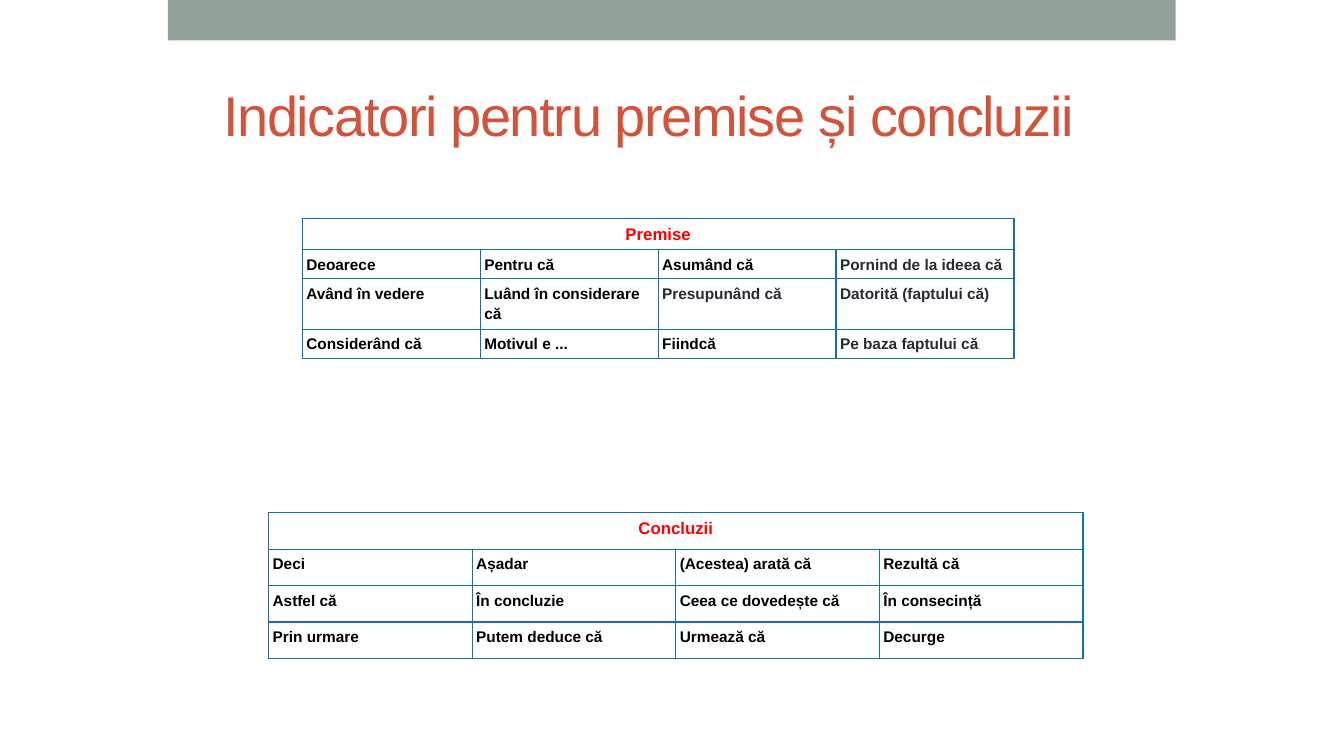
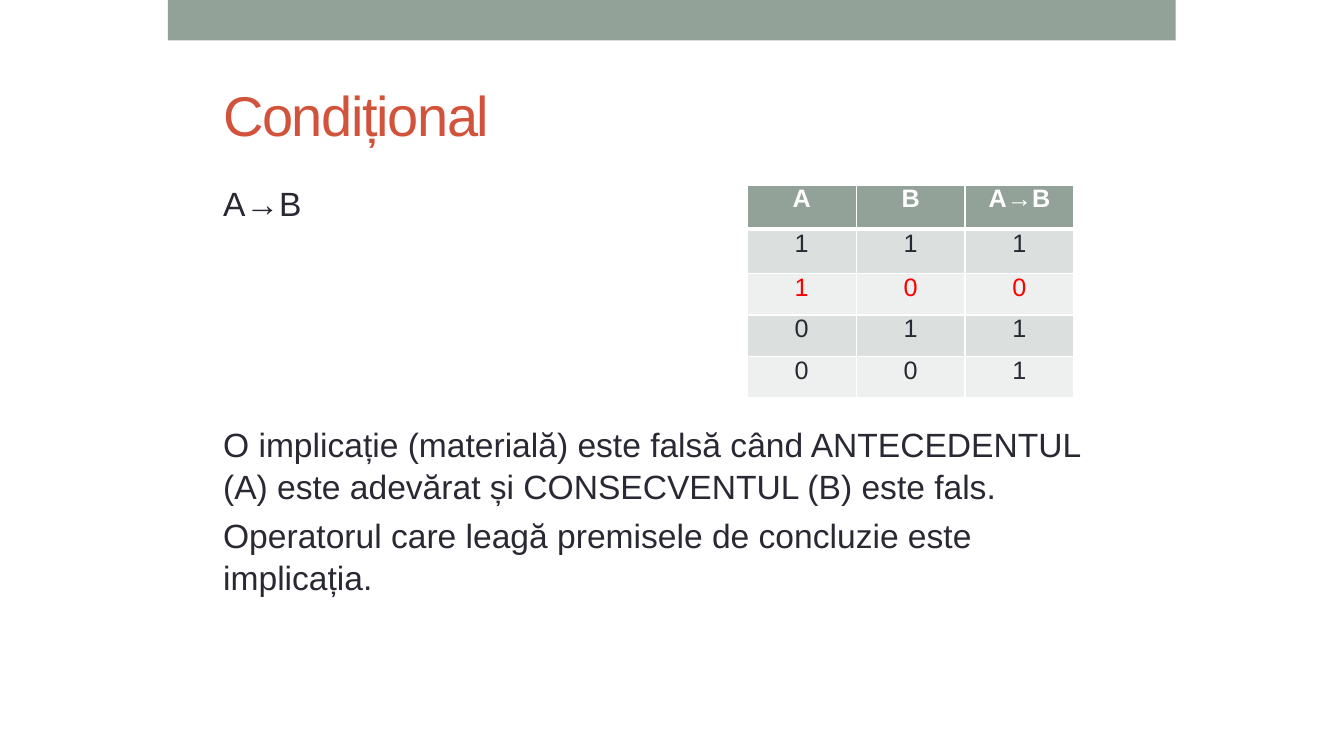
from dataclasses import dataclass, field

from lxml.etree import SubElement
from pptx import Presentation
from pptx.dml.color import RGBColor
from pptx.enum.shapes import MSO_SHAPE
from pptx.enum.text import MSO_ANCHOR, PP_ALIGN
from pptx.oxml.ns import qn
from pptx.slide import Slide
from pptx.table import _Cell
from pptx.text.text import TextFrame, _Paragraph
from pptx.util import Inches, Pt

SAGE = RGBColor(0x93, 0xA2, 0x99)
SAGE_MID = RGBColor(0xDB, 0xDF, 0xDD)
SAGE_PALE = RGBColor(0xEE, 0xF0, 0xEF)
RUST = RGBColor(0xD2, 0x53, 0x3C)
INK = RGBColor(0x29, 0x29, 0x34)
BLACK = RGBColor(0, 0, 0)
RED = RGBColor(0xFF, 0, 0)
WHITE = RGBColor(0xFF, 0xFF, 0xFF)
BLUE = RGBColor(0x13, 0x71, 0xB2)
FONT = "Arial"


@dataclass
class Grid:
    """A table with its place, its texts and its look."""

    left: float
    top: float
    col_width: float
    row_heights: list[float]
    rows: list[list[str]]
    border: RGBColor
    inset: float
    line_spacing: float
    head_size: int
    head_color: RGBColor
    size: int
    color: RGBColor
    bold: bool = False
    align: PP_ALIGN = PP_ALIGN.LEFT
    header_rule: float = 2
    fills: list[RGBColor] = field(default_factory=list)
    colors: dict[tuple[int, int], RGBColor] = field(default_factory=dict)


def add_text(p: _Paragraph, text: str, *, size: float, color: RGBColor,
             bold: bool = False, align: PP_ALIGN = PP_ALIGN.LEFT,
             line_spacing: float = 1.0, before: float = 0,
             tracking: float = 0) -> None:
    """Write one formatted run into a paragraph."""
    p.alignment = align
    p.line_spacing = line_spacing
    p.space_before = Pt(before)
    r = p.add_run()
    r.text = text
    r.font.name = FONT
    r.font.size = Pt(size)
    r.font.bold = bold
    r.font.color.rgb = color
    if tracking:
        r.font._element.set("spc", str(int(tracking * 100)))


def add_box(s: Slide, left: float, top: float, width: float,
            height: float, anchor: MSO_ANCHOR) -> TextFrame:
    """Add a wrapping text box and return its text frame."""
    box = s.shapes.add_textbox(Inches(left), Inches(top),
                               Inches(width), Inches(height))
    tf = box.text_frame
    tf.word_wrap = True
    tf.vertical_anchor = anchor
    tf.margin_left = tf.margin_right = Inches(0.1)
    tf.margin_top = tf.margin_bottom = Inches(0.1)
    return tf


def add_slide(prs: Presentation, title: str) -> Slide:
    """Add a blank slide with the top band and the title."""
    s = prs.slides.add_slide(prs.slide_layouts[6])
    band = s.shapes.add_shape(MSO_SHAPE.RECTANGLE, Inches(3.33), Inches(0),
                              Inches(20), Inches(0.8))
    band.shadow.inherit = False
    band.fill.solid()
    band.fill.fore_color.rgb = SAGE
    band.line.fill.background()
    tf = add_box(s, 4.33, 1.17, 18, 2.17, MSO_ANCHOR.MIDDLE)
    add_text(tf.paragraphs[0], title, size=80, color=RUST, tracking=-2)
    return s


def set_borders(cell: _Cell, color: RGBColor, top: float, bottom: float) -> None:
    """Draw the four borders of a cell, with side borders of 2 points."""
    tc_pr = cell._tc.get_or_add_tcPr()
    for side, width in (("L", 2), ("R", 2), ("T", top), ("B", bottom)):
        ln = SubElement(tc_pr, qn(f"a:ln{side}"), w=str(Pt(width)))
        fill = SubElement(ln, qn("a:solidFill"))
        SubElement(fill, qn("a:srgbClr"), val=str(color))


def add_grid(s: Slide, grid: Grid) -> None:
    """Draw a table, merging a header row that holds a single text."""
    n_rows, n_cols = len(grid.rows), len(grid.rows[-1])
    table = s.shapes.add_table(
        n_rows, n_cols, Inches(grid.left), Inches(grid.top),
        Inches(grid.col_width * n_cols), Inches(sum(grid.row_heights))).table
    table.first_row = table.horz_banding = False
    for col in table.columns:
        col.width = Inches(grid.col_width)
    for row, height in zip(table.rows, grid.row_heights):
        row.height = Inches(height)
    if len(grid.rows[0]) == 1:
        table.cell(0, 0).merge(table.cell(0, n_cols - 1))
    for i in range(n_rows):
        head = i == 0
        for j in range(n_cols):
            cell = table.cell(i, j)
            set_borders(cell, grid.border,
                        grid.header_rule if i == 1 else 2,
                        grid.header_rule if head else 2)
            if grid.fills:
                cell.fill.solid()
                cell.fill.fore_color.rgb = grid.fills[i]
            else:
                cell.fill.background()
            cell.margin_left = cell.margin_right = Inches(grid.inset)
            cell.margin_top = cell.margin_bottom = Inches(grid.inset)
            if j < len(grid.rows[i]):
                color = grid.head_color if head else grid.color
                add_text(cell.text_frame.paragraphs[0], grid.rows[i][j],
                         size=grid.head_size if head else grid.size,
                         color=grid.colors.get((i, j), color),
                         bold=head or grid.bold,
                         align=PP_ALIGN.CENTER if head else grid.align,
                         line_spacing=grid.line_spacing)


def indicator_grid(left: float, top: float, col_width: float,
                   row_heights: list[float], rows: list[list[str]],
                   colors: dict[tuple[int, int], RGBColor]) -> Grid:
    """Describe a blue-ruled table of indicator words."""
    return Grid(left, top, col_width, row_heights, rows, border=BLUE,
                inset=0.08, line_spacing=1.15, head_size=24, head_color=RED,
                size=22, color=BLACK, bold=True, colors=colors)


def build_indicators(prs: Presentation) -> None:
    """Build the slide with premise and conclusion indicators."""
    s = add_slide(prs, "Indicatori pentru premise și concluzii")
    add_grid(s, indicator_grid(6, 4.33, 3.53, [0.56, 0.53, 0.95, 0.53], [
        ["Premise"],
        ["Deoarece", "Pentru că", "Asumând că", "Pornind de la ideea că"],
        ["Având în vedere", "Luând în considerare că", "Presupunând că",
         "Datorită (faptului că)"],
        ["Considerând că", "Motivul e ...", "Fiindcă", "Pe baza faptului că"],
    ], {(1, 3): INK, (2, 2): INK, (2, 3): INK, (3, 3): INK}))
    add_grid(s, indicator_grid(5.33, 10.17, 4.04, [0.73, 0.72, 0.72, 0.72], [
        ["Concluzii"],
        ["Deci", "Așadar", "(Acestea) arată că", "Rezultă că"],
        ["Astfel că", "În concluzie", "Ceea ce dovedește că", "În consecință"],
        ["Prin urmare", "Putem deduce că", "Urmează că", "Decurge"],
    ], {}))


def build_conditional(prs: Presentation) -> None:
    """Build the slide with the truth table of the conditional."""
    s = add_slide(prs, "Condițional")
    tf = add_box(s, 4.33, 3.5, 18, 10.67, MSO_ANCHOR.TOP)
    body = [
        ("A→B", 0),
        ("O implicație (materială) este falsă când ANTECEDENTUL (A) este "
         "adevărat și CONSECVENTUL (B) este fals.", 284),
        ("Operatorul care leagă premisele de concluzie este implicația.", 11),
    ]
    for i, (text, before) in enumerate(body):
        p = tf.add_paragraph() if i else tf.paragraphs[0]
        add_text(p, text, size=48, color=INK, before=before, line_spacing=1.04)
    values = [(a, b, int(not a or b)) for a in (1, 0) for b in (1, 0)]
    add_grid(s, Grid(
        14.83, 3.67, 2.16, [0.88, 0.88, 0.82, 0.82, 0.82],
        [["A", "B", "A→B"]] + [[str(v) for v in row] for row in values],
        border=WHITE, inset=0.05, line_spacing=0.9, head_size=36,
        head_color=WHITE, size=36, color=INK, align=PP_ALIGN.CENTER,
        header_rule=6, fills=[SAGE] + [SAGE_MID, SAGE_PALE] * 2,
        colors={(2, j): RED for j in range(3)}))


def main() -> None:
    """Build and save the presentation."""
    prs = Presentation()
    prs.slide_width = Inches(26.67)
    prs.slide_height = Inches(15)
    build_indicators(prs)
    build_conditional(prs)
    prs.save("out.pptx")


if __name__ == "__main__":
    main()
